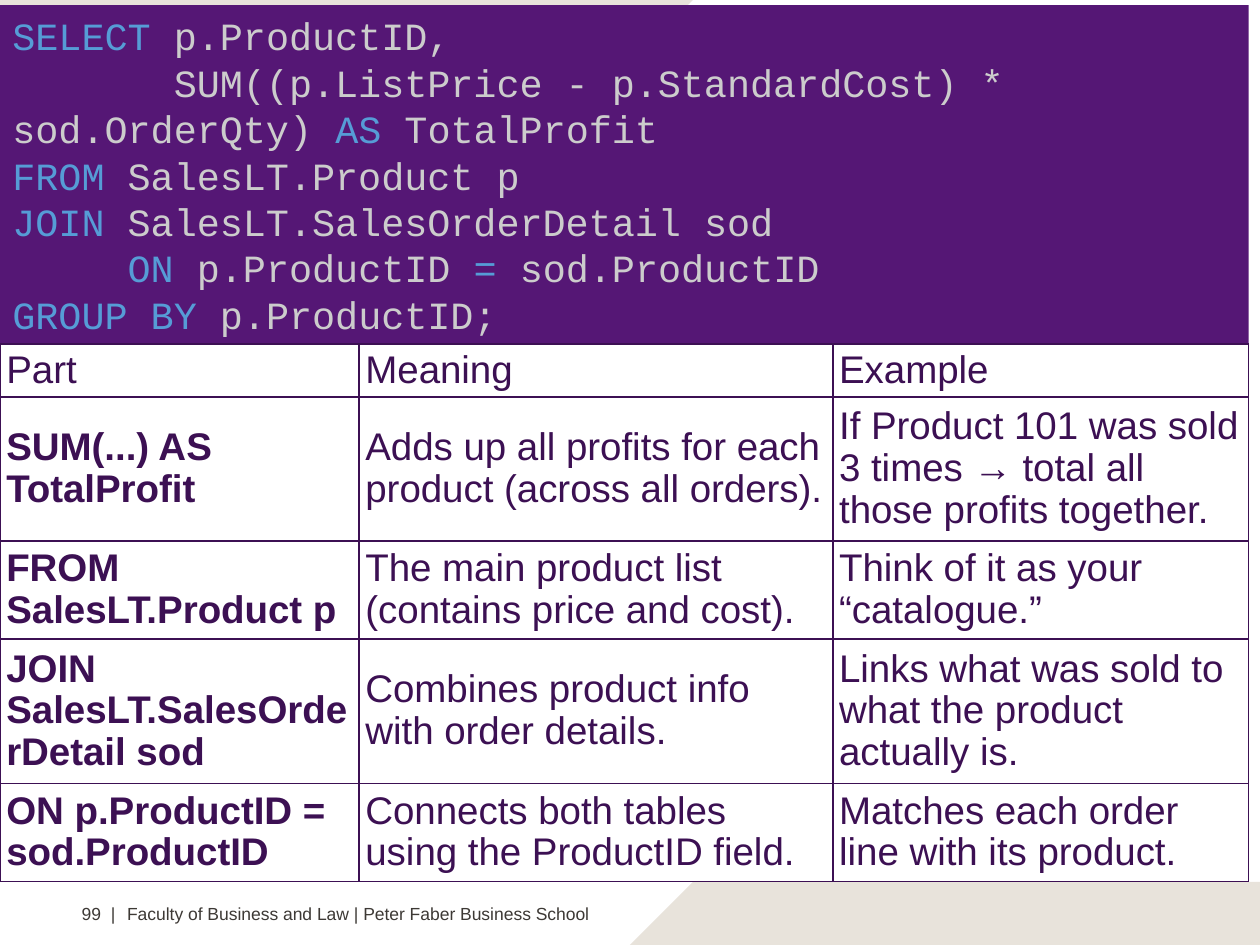
from lxml import etree
from pptx import Presentation
from pptx.dml.color import RGBColor
from pptx.enum.shapes import MSO_SHAPE
from pptx.enum.text import MSO_ANCHOR, PP_ALIGN
from pptx.oxml.ns import qn
from pptx.util import Pt

RECTANGLE = MSO_SHAPE.RECTANGLE
MIDDLE = MSO_ANCHOR.MIDDLE
LEFT = PP_ALIGN.LEFT

SAND, PURPLE, INK, GREY = "E8E3DB", "551775", "3C1053", "3D3935"
KEYWORD, PLAIN = "569CD6", "CCCCCC"
PANEL_WIDTH = 713.5

# Each code line is a list of (text, colour) spans
CODE = [
    [("SELECT ", KEYWORD), ("p.ProductID,", PLAIN)],
    [("       SUM((p.ListPrice - p.StandardCost) * sod.OrderQty) ", PLAIN),
     ("AS ", KEYWORD), ("TotalProfit", PLAIN)],
    [("FROM ", KEYWORD), ("SalesLT.Product p", PLAIN)],
    [("JOIN ", KEYWORD), ("SalesLT.SalesOrderDetail sod", PLAIN)],
    [("     ", PLAIN), ("ON ", KEYWORD), ("p.ProductID ", PLAIN),
     ("= ", KEYWORD), ("sod.ProductID", PLAIN)],
    [("GROUP BY ", KEYWORD), ("p.ProductID;", PLAIN)],
]

COLUMN_WIDTHS = [205.2, 270.7, 237.6]
ROW_HEIGHTS = [30.2, 82.4, 56.1, 82.4, 56.1]
ROWS = [
    ["Part", "Meaning", "Example"],
    ["SUM(...) AS TotalProfit",
     "Adds up all profits for each product (across all orders).",
     "If Product 101 was sold 3 times → total all those profits together."],
    ["FROM SalesLT.Product p",
     "The main product list (contains price and cost).",
     "Think of it as your “catalogue.”"],
    ["JOIN SalesLT.SalesOrderDetail sod",
     "Combines product info with order details.",
     "Links what was sold to what the product actually is."],
    ["ON p.ProductID = sod.ProductID",
     "Connects both tables using the ProductID field.",
     "Matches each order line with its product."],
]


def colour(value):
    return RGBColor.from_string(value)


def style_font(font, name, size, value):
    font.name = name
    font.size = Pt(size)
    font.color.rgb = colour(value)


def paint(shape, value):
    shape.shadow.inherit = False
    shape.fill.solid()
    shape.fill.fore_color.rgb = colour(value)
    shape.line.fill.background()


def add_band(page, points):
    corners = [(Pt(x), Pt(y)) for x, y in points]
    builder = page.shapes.build_freeform(*corners[0])
    builder.add_line_segments(corners[1:], close=True)
    paint(builder.convert_to_shape(), SAND)


def add_footer(page, text, left, width):
    box = page.shapes.add_textbox(Pt(left), Pt(512.6), Pt(width), Pt(19.4))
    box.text_frame.word_wrap = True
    para = box.text_frame.paragraphs[0]
    para.text = text
    style_font(para.font, "Arial", 10, GREY)


def add_code(page):
    panel = page.shapes.add_shape(RECTANGLE, 0, Pt(2.9), Pt(PANEL_WIDTH), Pt(193.7))
    paint(panel, PURPLE)
    frame = panel.text_frame
    frame.word_wrap = True
    frame.vertical_anchor = MIDDLE
    for index, line in enumerate(CODE):
        para = frame.add_paragraph() if index else frame.paragraphs[0]
        para.alignment = LEFT
        para.line_spacing = Pt(26.5)
        for text, value in line:
            span = para.add_run()
            span.text = text
            style_font(span.font, "Courier New", 22, value)


def add_borders(cell):
    properties = cell._tc.get_or_add_tcPr()
    for position, side in enumerate(("a:lnL", "a:lnR", "a:lnT", "a:lnB")):
        line = etree.Element(qn(side), w=str(Pt(1)))
        fill = etree.SubElement(line, qn("a:solidFill"))
        etree.SubElement(fill, qn("a:srgbClr"), val=INK)
        properties.insert(position, line)


def fill_cell(cell, text, bold):
    cell.fill.background()
    cell.vertical_anchor = MIDDLE
    cell.margin_left = cell.margin_right = Pt(3.6)
    cell.margin_top = cell.margin_bottom = Pt(1.5)
    para = cell.text_frame.paragraphs[0]
    para.text = text
    para.line_spacing = 0.97
    style_font(para.font, "Arial", 22, INK)
    para.font.bold = bold
    add_borders(cell)


def add_explanation(page):
    frame = page.shapes.add_table(len(ROWS), len(COLUMN_WIDTHS), 0, Pt(196.6),
                                  Pt(PANEL_WIDTH), Pt(sum(ROW_HEIGHTS)))
    table = frame.table
    table.first_row = table.horz_banding = False
    for column, width in zip(table.columns, COLUMN_WIDTHS):
        column.width = Pt(width)
    for row, height in zip(table.rows, ROW_HEIGHTS):
        row.height = Pt(height)
    for r, texts in enumerate(ROWS):
        for c, text in enumerate(texts):
            fill_cell(table.cell(r, c), text, bold=r > 0 and c == 0)


def main():
    deck = Presentation()
    deck.slide_width, deck.slide_height = Pt(720), Pt(540)
    page = deck.slides.add_slide(deck.slide_layouts[6])

    # Slanted bands at the top and bottom edges
    add_band(page, [(0, 0), (396, 0), (360, 36), (0, 36)])
    add_band(page, [(720, 540), (360, 540), (396, 504), (720, 504)])

    # Footer
    add_footer(page, "Faculty of Business and Law | Peter Faber Business School", 65.5, 329.8)
    add_footer(page, "99  |", 39.6, 35.3)

    # Query and its explanation
    add_code(page)
    add_explanation(page)

    deck.save("out.pptx")


if __name__ == "__main__":
    main()
